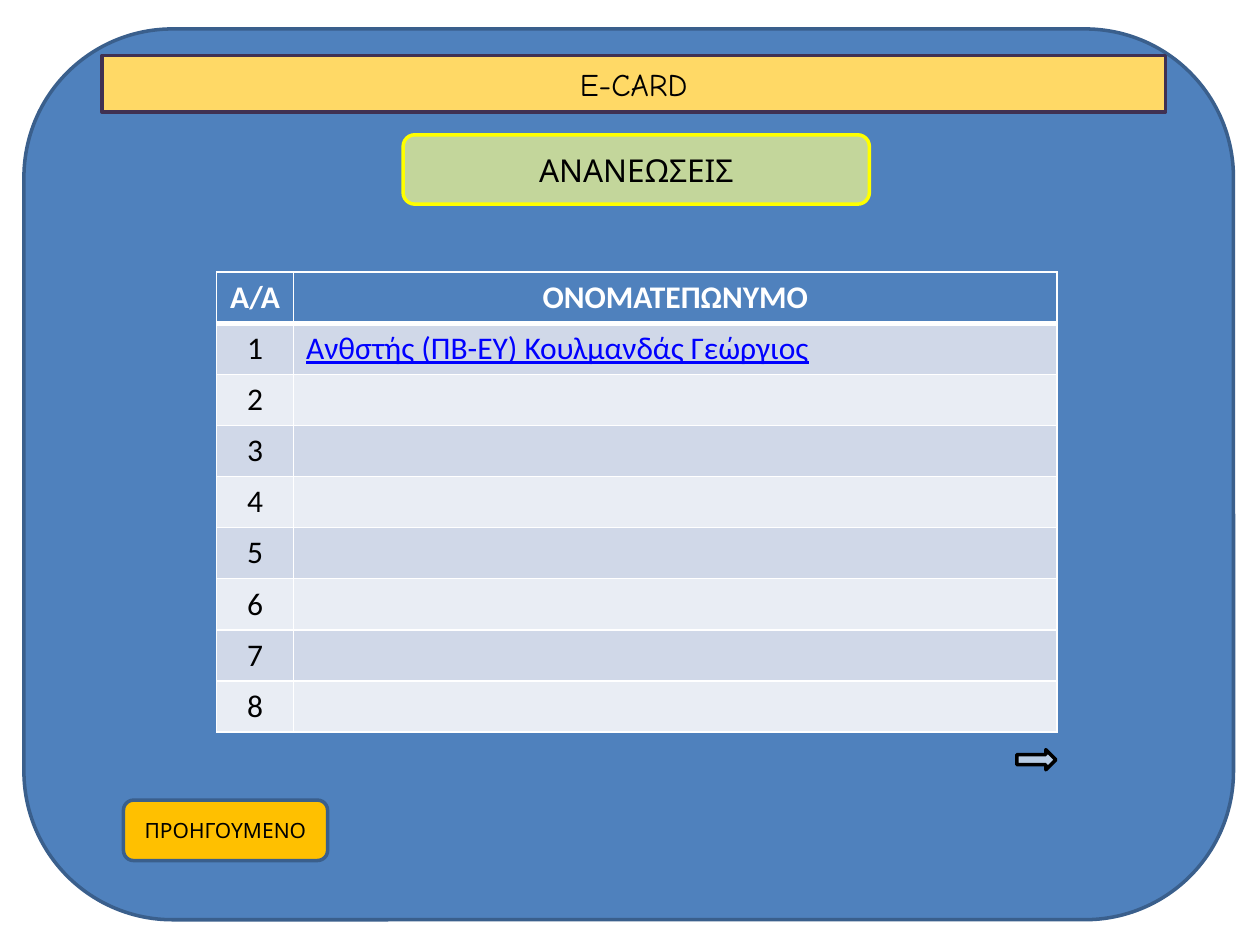
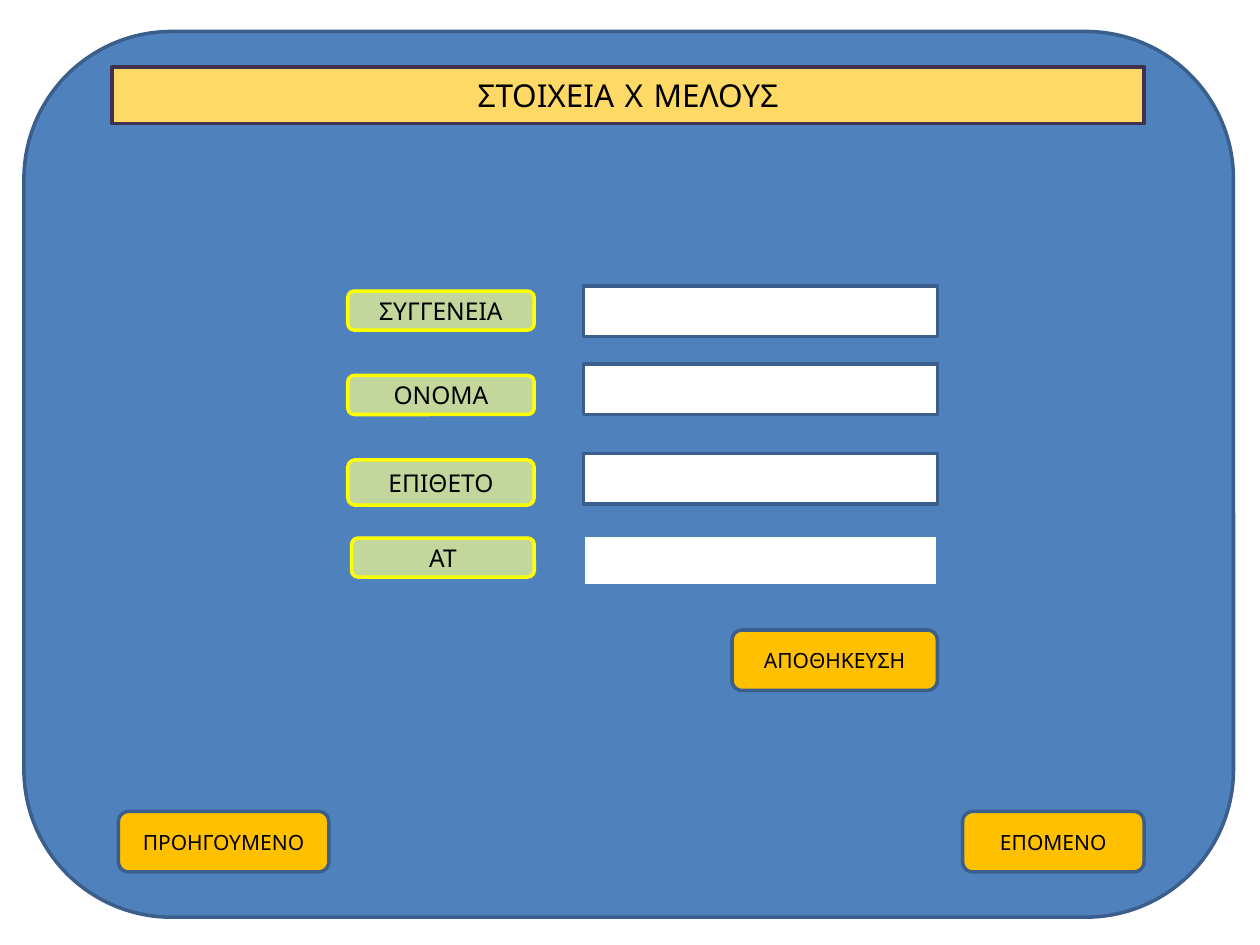
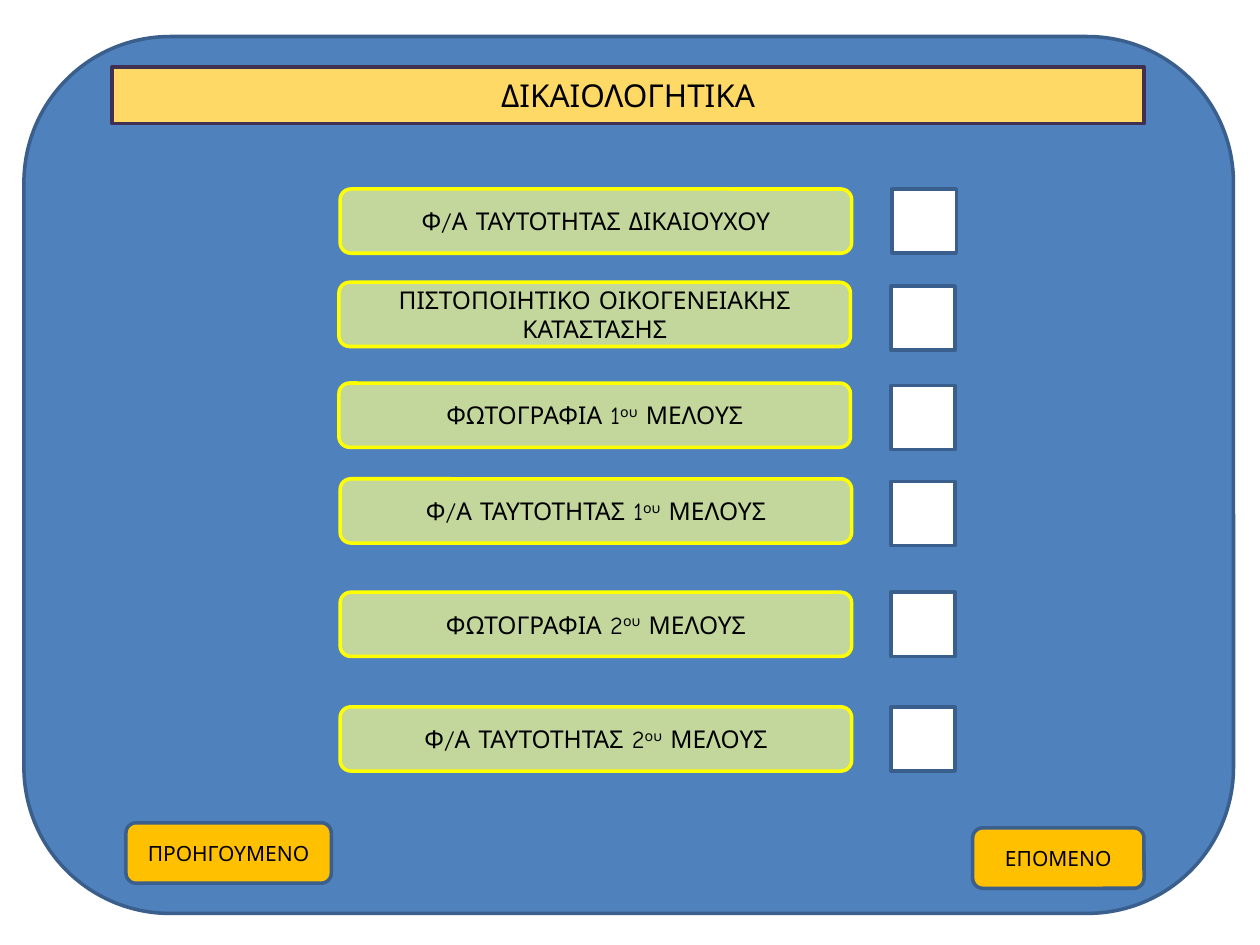
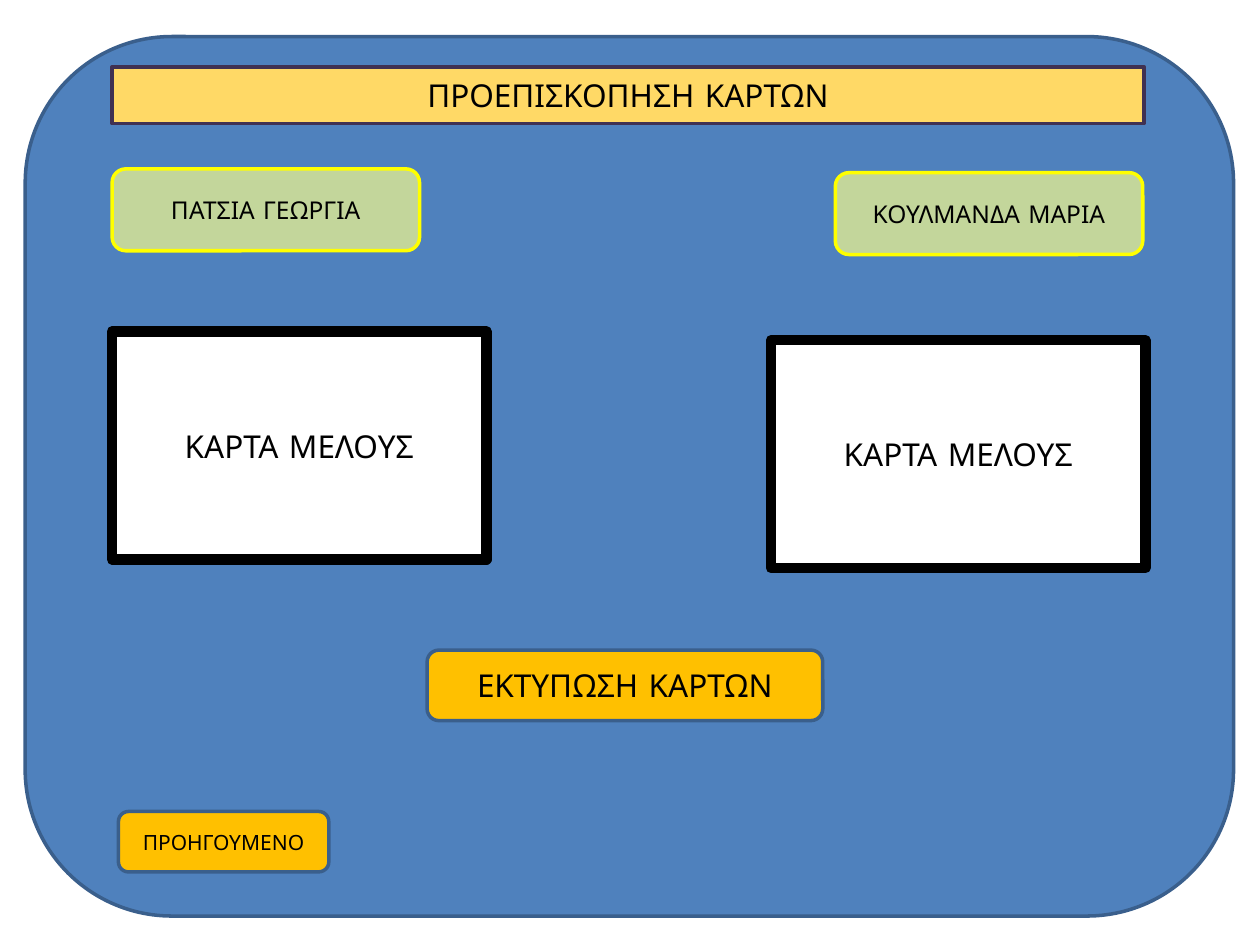
from lxml.etree import SubElement
from pptx import Presentation
from pptx.dml.color import RGBColor
from pptx.enum.shapes import MSO_SHAPE as Preset
from pptx.enum.text import MSO_ANCHOR as Anchor, PP_ALIGN as Align
from pptx.oxml.ns import qn
from pptx.util import Inches, Pt

BLACK = RGBColor(0x00, 0x00, 0x00)
WHITE = RGBColor(0xFF, 0xFF, 0xFF)
BLUE = RGBColor(0x4F, 0x81, 0xBD)
EDGE_BLUE = RGBColor(0x3A, 0x5F, 0x8C)
ARROW_BLUE = RGBColor(0xB9, 0xCD, 0xE5)
LINK_BLUE = RGBColor(0x00, 0x00, 0xFF)
GREEN = RGBColor(0xC3, 0xD6, 0x9B)
YELLOW = RGBColor(0xFF, 0xFF, 0x00)
GOLD = RGBColor(0xFF, 0xD9, 0x66)
PURPLE = RGBColor(0x40, 0x31, 0x52)
ORANGE = RGBColor(0xFF, 0xC0, 0x00)
ROW_BANDS = (RGBColor(0xD0, 0xD8, 0xE8), RGBColor(0xE9, 0xED, 0xF4))

SCREEN_FONT = "Comic Neue"
TABLE_FONT = "Calibri"
TITLE_BAR = (0.89, 0.53, 8.19, 0.45)
BACK_BUTTON = (0.94, 6.44, 1.67, 0.48)


def add_text(paragraph, text, color, align=Align.CENTER, **font_format):
    run = paragraph.add_run()
    run.text = text
    paragraph.alignment = align
    for attribute, value in font_format.items():
        setattr(run.font, attribute, value)
    run.font.color.rgb = color
    return run


def add_block(slide, preset, box, fill, edge, runs=(), size=14, edge_width=2):
    """Add a filled, outlined shape; runs holds (text, is_superscript) pairs."""
    shape = slide.shapes.add_shape(preset, *map(Inches, box))
    shape.shadow.inherit = False
    shape.fill.solid()
    shape.fill.fore_color.rgb = fill
    shape.line.color.rgb = edge
    shape.line.width = Pt(edge_width)
    frame = shape.text_frame
    frame.word_wrap = True
    frame.vertical_anchor = Anchor.MIDDLE
    for text, is_superscript in runs:
        run = add_text(frame.paragraphs[0], text, BLACK, name=SCREEN_FONT, size=Pt(size))
        if is_superscript:
            run._r.get_or_add_rPr().set("baseline", "30000")


def add_label(slide, box, runs, size=14):
    add_block(slide, Preset.ROUNDED_RECTANGLE, box, GREEN, YELLOW, runs, size)


def add_button(slide, box, text, size=12):
    add_block(slide, Preset.ROUNDED_RECTANGLE, box, ORANGE, EDGE_BLUE, plain(text), size)


def add_field(slide, box, edge=EDGE_BLUE):
    add_block(slide, Preset.RECTANGLE, box, WHITE, edge)


def plain(text):
    return [(text, False)]


def member_item(item, number):
    return [(f"{item} {number}", False), ("ου", True), (" ΜΕΛΟΥΣ", False)]


def add_screen(deck, title, panel, title_bar=TITLE_BAR, back_button=BACK_BUTTON):
    """Add a slide with the blue panel, its title bar and the back button."""
    slide = deck.slides.add_slide(deck.slide_layouts[6])
    add_block(slide, Preset.ROUNDED_RECTANGLE, panel, BLUE, EDGE_BLUE)
    add_block(slide, Preset.RECTANGLE, title_bar, GOLD, PURPLE, plain(title), 18)
    add_button(slide, back_button, "ΠΡΟΗΓΟΥΜΕΝΟ")
    return slide


def set_borders(cell, widths):
    properties = cell._tc.get_or_add_tcPr()
    for side, width in widths.items():
        border = SubElement(properties, qn(f"a:ln{side}"), w=str(Pt(width)))
        solid = SubElement(border, qn("a:solidFill"))
        SubElement(solid, qn("a:srgbClr"), val=str(WHITE))


def fill_cell(cell, row, text, color, align=Align.CENTER, **font_format):
    set_borders(cell, {"L": 1, "R": 1, "T": 3 if row == 1 else 1, "B": 1 if row else 3})
    cell.fill.solid()
    cell.fill.fore_color.rgb = ROW_BANDS[(row - 1) % 2] if row else BLUE
    if text:
        add_text(cell.text_frame.paragraphs[0], text, color, align,
                 name=TABLE_FONT, size=Pt(18), **font_format)


def add_name_table(slide, names, row_count):
    box = map(Inches, (1.72, 2.16, 6.67, 3.64))
    table = slide.shapes.add_table(row_count + 1, 2, *box).table
    for column, width in zip(table.columns, (0.61, 6.06)):
        column.width = Inches(width)
    for column, heading in enumerate(("Α/Α", "ΟΝΟΜΑΤΕΠΩΝΥΜΟ")):
        fill_cell(table.cell(0, column), 0, heading, WHITE, bold=True)
    for row in range(1, row_count + 1):
        name = names[row - 1] if row <= len(names) else ""
        fill_cell(table.cell(row, 0), row, str(row), BLACK, bold=False)
        fill_cell(table.cell(row, 1), row, name, LINK_BLUE, Align.LEFT,
                  bold=False, underline=True)


def build_renewals(deck):
    slide = add_screen(deck, "E-CARD", (0.19, 0.23, 9.6, 7.07),
                       (0.81, 0.44, 8.44, 0.45), (0.98, 6.35, 1.62, 0.48))
    add_label(slide, (3.2, 1.07, 3.7, 0.55), plain("ΑΝΑΝΕΩΣΕΙΣ"), 18)
    add_name_table(slide, ["Ανθστής (ΠΒ-ΕΥ) Κουλμανδάς Γεώργιος"], 8)
    add_block(slide, Preset.RIGHT_ARROW, (8.07, 5.95, 0.31, 0.16), ARROW_BLUE, BLACK)


def build_member_form(deck):
    slide = add_screen(deck, "ΣΤΟΙΧΕΙΑ Χ ΜΕΛΟΥΣ", (0.19, 0.25, 9.6, 7.03))
    form_rows = (
        ("ΣΥΓΓΕΝΕΙΑ", (2.76, 2.31, 1.48, 0.31), 2.27, EDGE_BLUE),
        ("ΟΝΟΜΑ", (2.76, 2.98, 1.48, 0.31), 2.89, EDGE_BLUE),
        ("ΕΠΙΘΕΤΟ", (2.76, 3.65, 1.48, 0.36), 3.6, EDGE_BLUE),
        ("ΑΤ", (2.79, 4.27, 1.45, 0.31), 4.25, BLUE),
    )
    for caption, label_box, field_top, field_edge in form_rows:
        add_label(slide, label_box, plain(caption))
        add_field(slide, (4.63, field_top, 2.81, 0.4), field_edge)
    add_button(slide, (5.81, 5, 1.63, 0.48), "ΑΠΟΘΗΚΕΥΣΗ")
    add_button(slide, (7.64, 6.44, 1.44, 0.48), "ΕΠΟΜΕΝΟ")


def build_documents(deck):
    slide = add_screen(deck, "ΔΙΚΑΙΟΛΟΓΗΤΙΚΑ", (0.19, 0.29, 9.6, 6.96),
                       back_button=(1, 6.53, 1.63, 0.48))
    photo, identity = "ΦΩΤΟΓΡΑΦΙΑ", "Φ/Α ΤΑΥΤΟΤΗΤΑΣ"
    checklist = (
        (plain(f"{identity} ΔΙΚΑΙΟΥΧΟΥ"), 2.7, 1.5, 7.08, 1.5),
        (plain("ΠΙΣΤΟΠΟΙΗΤΙΚΟ ΟΙΚΟΓΕΝΕΙΑΚΗΣ ΚΑΤΑΣΤΑΣΗΣ"), 2.69, 2.24, 7.07, 2.27),
        (member_item(photo, 1), 2.69, 3.04, 7.07, 3.06),
        (member_item(identity, 1), 2.7, 3.8, 7.07, 3.82),
        (member_item(photo, 2), 2.7, 4.7, 7.07, 4.7),
        (member_item(identity, 2), 2.7, 5.61, 7.07, 5.61),
    )
    for runs, label_left, label_top, check_left, check_top in checklist:
        add_label(slide, (label_left, label_top, 4.06, 0.51), runs)
        add_field(slide, (check_left, check_top, 0.51, 0.51))
    add_button(slide, (7.72, 6.57, 1.36, 0.48), "ΕΠΟΜΕΝΟ")


def build_card_preview(deck):
    slide = add_screen(deck, "ΠΡΟΕΠΙΣΚΟΠΗΣΗ ΚΑΡΤΩΝ", (0.2, 0.29, 9.59, 6.98))
    members = (
        ("ΠΑΤΣΙΑ ΓΕΩΡΓΙΑ", (0.89, 1.34), (0.89, 2.63)),
        ("ΚΟΥΛΜΑΝΔΑ ΜΑΡΙΑ", (6.63, 1.37), (6.12, 2.7)),
    )
    for name, name_corner, card_corner in members:
        add_label(slide, (*name_corner, 2.44, 0.65), plain(name))
        add_block(slide, Preset.RECTANGLE, (*card_corner, 2.97, 1.81), WHITE, BLACK,
                  plain("ΚΑΡΤΑ ΜΕΛΟΥΣ"), 18, edge_width=6)
    add_button(slide, (3.39, 5.16, 3.14, 0.56), "ΕΚΤΥΠΩΣΗ ΚΑΡΤΩΝ", 18)


def main():
    deck = Presentation()
    deck.slide_width, deck.slide_height = Inches(10), Inches(7.5)
    for build in (build_renewals, build_member_form, build_documents, build_card_preview):
        build(deck)
    deck.save("out.pptx")


if __name__ == "__main__":
    main()
